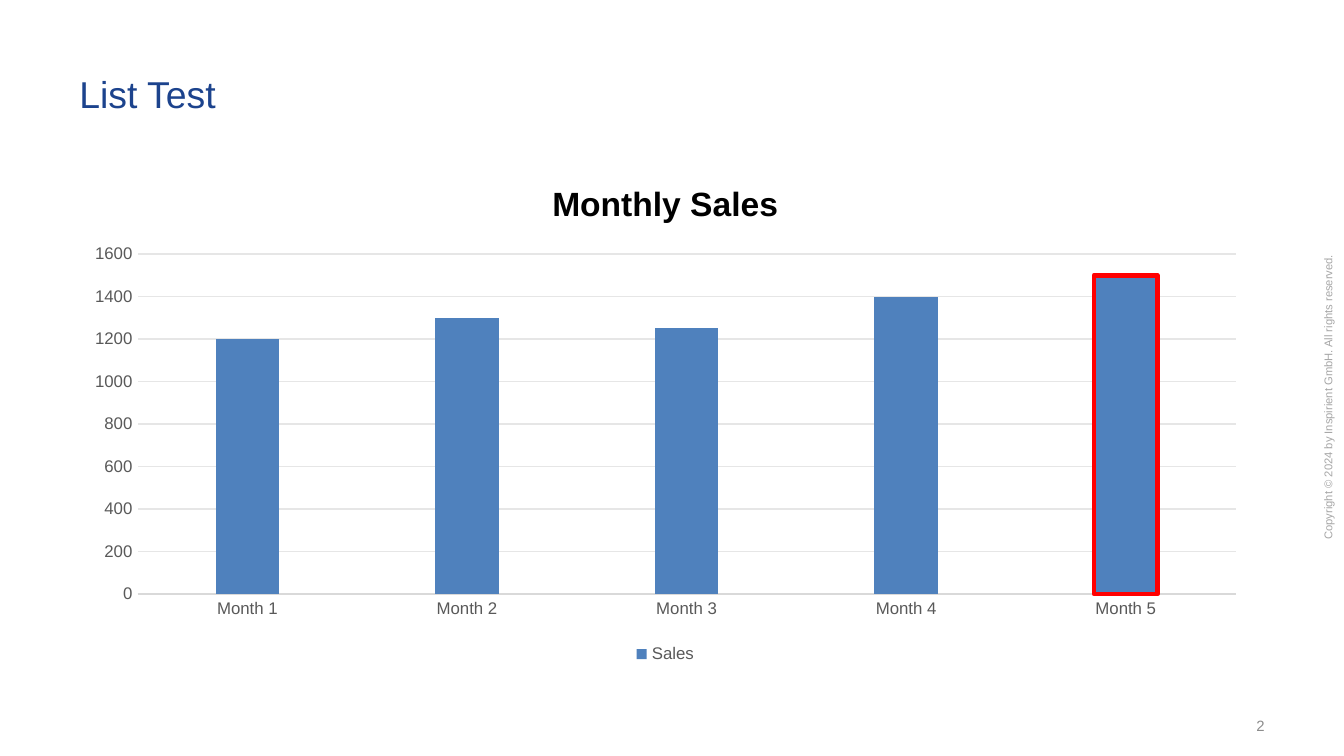
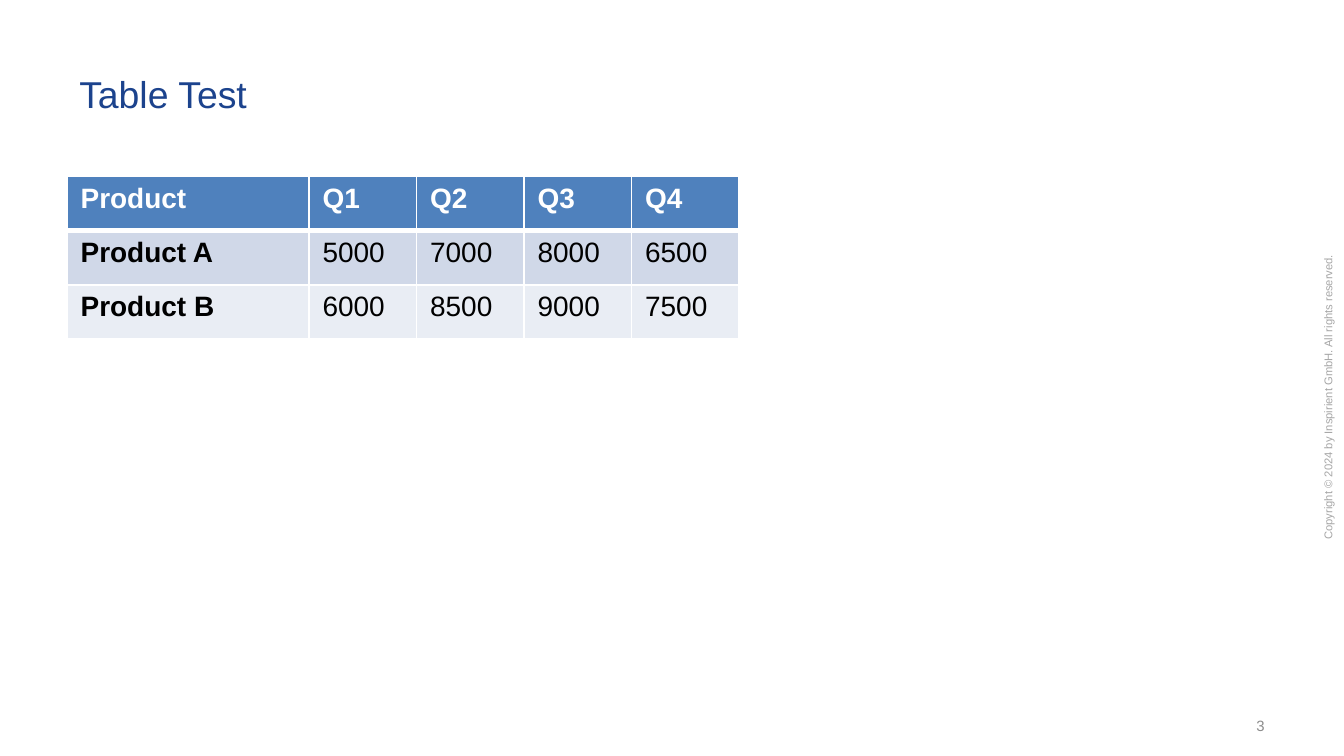
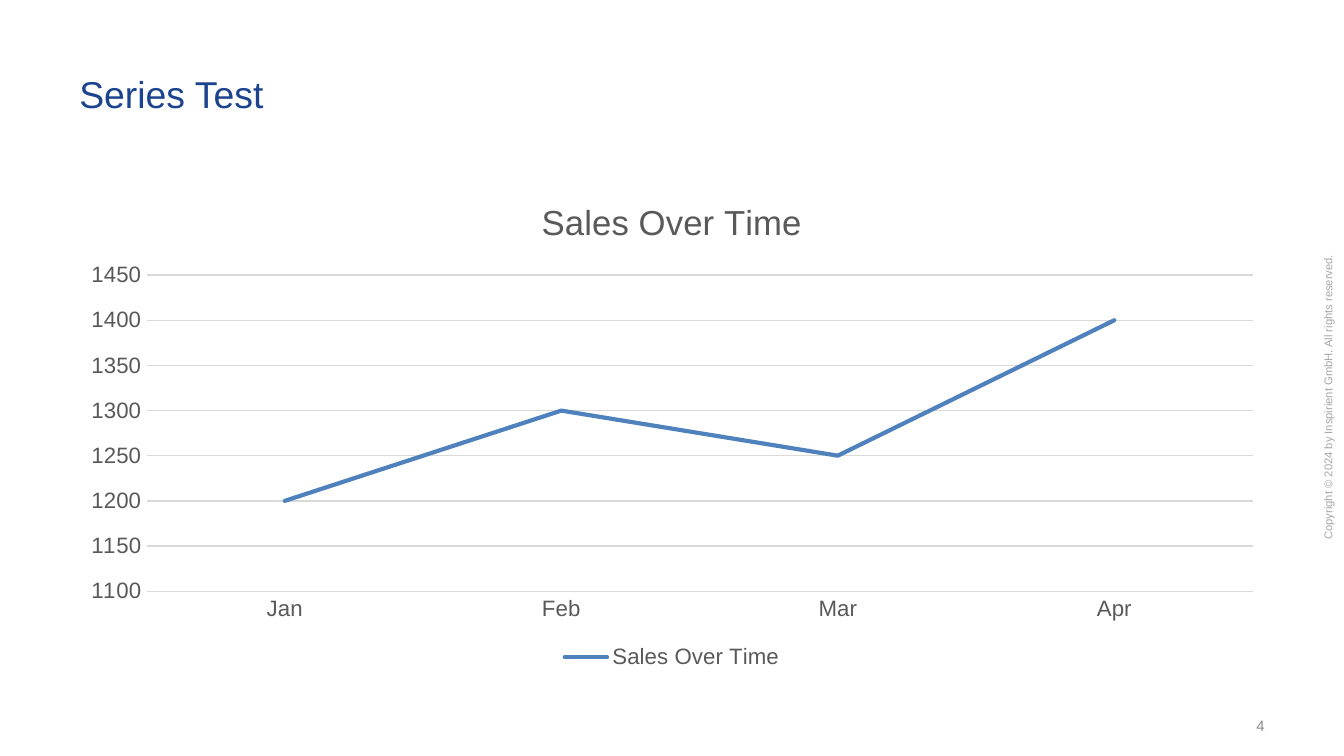
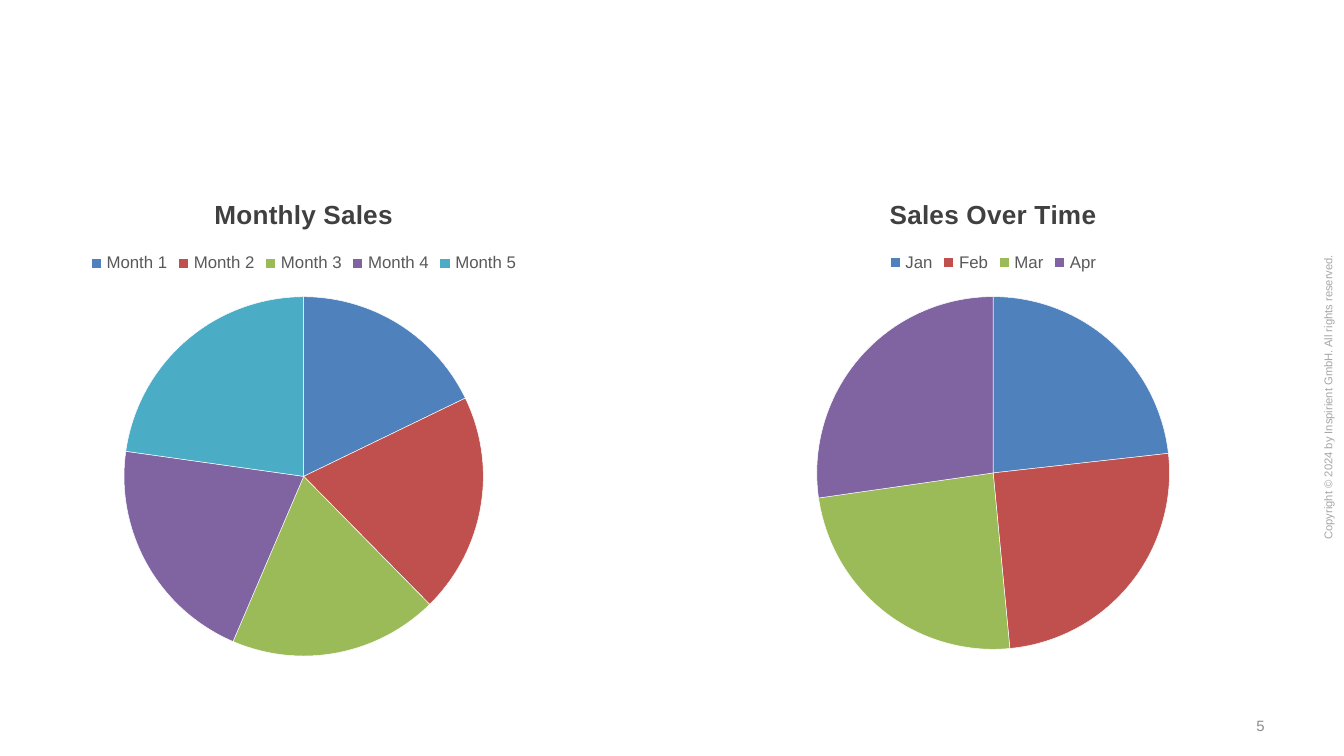
from lxml import etree
from pptx import Presentation
from pptx.chart.data import CategoryChartData
from pptx.dml.color import RGBColor
from pptx.enum.chart import XL_CHART_TYPE, XL_LEGEND_POSITION, XL_TICK_MARK
from pptx.enum.text import MSO_ANCHOR, MSO_AUTO_SIZE, PP_ALIGN
from pptx.oxml.ns import qn
from pptx.util import Emu, Pt

EMU_PER_PX = 4572
FONT = "Arial"
COLORS = {
    "white": "FFFFFF", "black": "000000", "title": "1C438D",
    "copyright": "A6A6A6", "number": "8C8C8C", "label": "595959",
    "heading": "404040", "axis": "D9D9D9", "grid": "E6E6E6",
    "blue": "4F81BD", "red": "C0504D", "green": "9BBB59",
    "purple": "8064A2", "teal": "4BACC6", "highlight": "FF0000",
    "band_dark": "D0D8E8", "band_light": "E9EDF4",
}
SLICES = ("blue", "red", "green", "purple", "teal")

COLUMN, LINE, PIE = XL_CHART_TYPE.COLUMN_CLUSTERED, XL_CHART_TYPE.LINE, XL_CHART_TYPE.PIE
BOTTOM, TOP = XL_LEGEND_POSITION.BOTTOM, XL_LEGEND_POSITION.TOP
NO_TICK = XL_TICK_MARK.NONE
ANCHOR_BOTTOM = MSO_ANCHOR.BOTTOM
FIXED, GROW = MSO_AUTO_SIZE.NONE, MSO_AUTO_SIZE.SHAPE_TO_FIT_TEXT
LEFT, RIGHT = PP_ALIGN.LEFT, PP_ALIGN.RIGHT

MONTHS = ("Month 1", "Month 2", "Month 3", "Month 4", "Month 5")
SHORT_MONTHS = ("Jan", "Feb", "Mar", "Apr")
QUARTERS = (
    ("Product", "Q1", "Q2", "Q3", "Q4"),
    ("Product A", "5000", "7000", "8000", "6500"),
    ("Product B", "6000", "8500", "9000", "7500"),
)


def px(length):
    """Turn px into EMU."""
    return Emu(length * EMU_PER_PX)


def rgb(name):
    """Look up a named colour."""
    return RGBColor.from_string(COLORS[name])


def style_font(font, size, color, bold=False):
    """Apply the deck's typeface with a size, colour and weight."""
    font.name, font.size, font.bold = FONT, Pt(size), bold
    font.color.rgb = rgb(color)


def style_line(line, color, width):
    """Give a line a colour and a width in points."""
    line.color.rgb = rgb(color)
    line.width = Pt(width)


def write(frame, text, size, color, bold=False, align=LEFT):
    """Write one formatted paragraph into a text frame."""
    paragraph = frame.paragraphs[0]
    paragraph.alignment = align
    run = paragraph.add_run()
    run.text = text
    style_font(run.font, size, color, bold)


def add_text(slide, box, text, wrap=True, rotation=0, **style):
    """Place a bottom-anchored text box."""
    holder = slide.shapes.add_textbox(*map(px, box))
    holder.rotation = rotation
    frame = holder.text_frame
    frame.word_wrap = wrap
    frame.auto_size = FIXED if wrap else GROW
    frame.vertical_anchor = ANCHOR_BOTTOM
    frame.margin_left = frame.margin_right = px(18)
    frame.margin_top = frame.margin_bottom = px(9)
    write(frame, text, **style)


def add_page(deck, number, title=None):
    """Add a slide with its copyright line, title and page number."""
    slide = deck.slides.add_slide(deck.slide_layouts[6])
    add_text(slide, (1744, 570, 464, 38),
             "Copyright © 2024 by Inspirient GmbH. All rights reserved.",
             wrap=False, rotation=270, size=6, color="copyright")
    if title:
        add_text(slide, (100, 46, 1800, 136), title, size=20, color="title")
    add_text(slide, (1434, 1062, 466, 40), str(number), size=8, color="number", align=RIGHT)
    return slide


def add_chart(slide, box, kind, categories, name, values, title, title_style,
              label_size, legend_position):
    """Place a one-series chart with its title and legend."""
    data = CategoryChartData()
    data.categories = categories
    data.add_series(name, values)
    chart = slide.shapes.add_chart(kind, *map(px, box), data).chart
    style_font(chart.font, 10, "black")
    chart.has_title = True
    write(chart.chart_title.text_frame, title, align=None, **title_style)
    chart.chart_title.include_in_layout = False
    chart.has_legend = True
    chart.legend.position = legend_position
    chart.legend.include_in_layout = False
    style_font(chart.legend.font, label_size, "label")
    return chart


def style_axes(chart, label_size, grid, low, high, step):
    """Style both axes and fix the value scale."""
    months, sales = chart.category_axis, chart.value_axis
    for axis in (months, sales):
        axis.major_tick_mark = axis.minor_tick_mark = NO_TICK
        style_font(axis.tick_labels.font, label_size, "label")
    style_line(months.format.line, "axis", 0.75)
    sales.format.line.fill.background()
    sales.has_major_gridlines = True
    style_line(sales.major_gridlines.format.line, grid, 0.75)
    sales.minimum_scale, sales.maximum_scale, sales.major_unit = low, high, step


def add_sales_columns(slide, box):
    """Draw monthly sales as columns with the last month outlined."""
    chart = add_chart(slide, box, COLUMN, MONTHS, "Sales", (1200, 1300, 1250, 1400, 1500),
                      "Monthly Sales", dict(size=18, color="black", bold=True), 9, BOTTOM)
    style_axes(chart, 9, "grid", 0, 1600, 200)
    plot = chart.plots[0]
    plot.vary_by_categories = False
    plot.gap_width, plot.overlap = 246, -28
    sales = plot.series[0]
    last_month = sales.points[len(MONTHS) - 1].format
    for column in (sales.format, last_month):
        column.fill.solid()
        column.fill.fore_color.rgb = rgb("blue")
    style_line(last_month.line, "highlight", 2.5)


def add_sales_line(slide, box):
    """Draw sales over time as a straight-segment line."""
    name = "Sales Over Time"
    chart = add_chart(slide, box, LINE, SHORT_MONTHS, name, (1200, 1300, 1250, 1400),
                      name, dict(size=18.6, color="label"), 11.9, BOTTOM)
    style_axes(chart, 11.9, "axis", 1100, 1450, 50)
    chart.plots[0].vary_by_categories = False
    sales = chart.plots[0].series[0]
    sales.smooth = False
    style_line(sales.format.line, "blue", 2.25)
    sales._element.find(f".//{qn('a:ln')}").set("cap", "rnd")


def add_share_pie(slide, box, name, categories, shares):
    """Draw shares as a pie with white slice borders."""
    chart = add_chart(slide, box, PIE, categories, name, shares,
                      name, dict(size=14, color="heading", bold=True), 9, TOP)
    chart.plots[0].vary_by_categories = True
    points = chart.plots[0].series[0].points
    for index, color in enumerate(SLICES[:len(categories)]):
        part = points[index].format
        part.fill.solid()
        part.fill.fore_color.rgb = rgb(color)
        style_line(part.line, "white", 0.25)


def set_borders(cell, **widths):
    """Draw white cell borders, with widths in points by edge."""
    properties = cell._tc.get_or_add_tcPr()
    for edge in "LRTB":
        border = etree.SubElement(properties, qn(f"a:ln{edge}"), w=str(Pt(widths.get(edge, 1))))
        fill = etree.SubElement(border, qn("a:solidFill"))
        etree.SubElement(fill, qn("a:srgbClr"), val=COLORS["white"])


def add_quarter_table(slide, box):
    """Draw the quarterly product table."""
    table = slide.shapes.add_table(len(QUARTERS), len(QUARTERS[0]), *map(px, box)).table
    for index, column in enumerate(table.columns):
        column.width = px(160 if index else 360)
    fills = ("blue", "band_dark", "band_light")
    edges = ({"B": 3}, {"T": 3}, {})
    for r, values in enumerate(QUARTERS):
        table.rows[r].height = px(box[3] // len(QUARTERS))
        for c, value in enumerate(values):
            cell = table.cell(r, c)
            set_borders(cell, **edges[r])
            cell.fill.solid()
            cell.fill.fore_color.rgb = rgb(fills[r])
            write(cell.text_frame, value, size=15, color="black" if r else "white",
                  bold=r == 0 or c == 0)


def main():
    """Build and save the four slides."""
    deck = Presentation()
    deck.slide_width, deck.slide_height = px(2000), px(1125)
    add_sales_columns(add_page(deck, 2, "List Test"), (106, 236, 1768, 760))
    add_quarter_table(add_page(deck, 3, "Table Test"), (100, 262, 1000, 243))
    add_sales_line(add_page(deck, 4, "Series Test"), (100, 262, 1800, 742))
    shares = add_page(deck, 5)
    add_share_pie(shares, (100, 262, 704, 742), "Monthly Sales", MONTHS, (18, 20, 19, 21, 23))
    add_share_pie(shares, (1090, 262, 776, 732), "Sales Over Time", SHORT_MONTHS,
                  (23, 25, 24, 27))
    deck.save("out.pptx")


if __name__ == "__main__":
    main()
